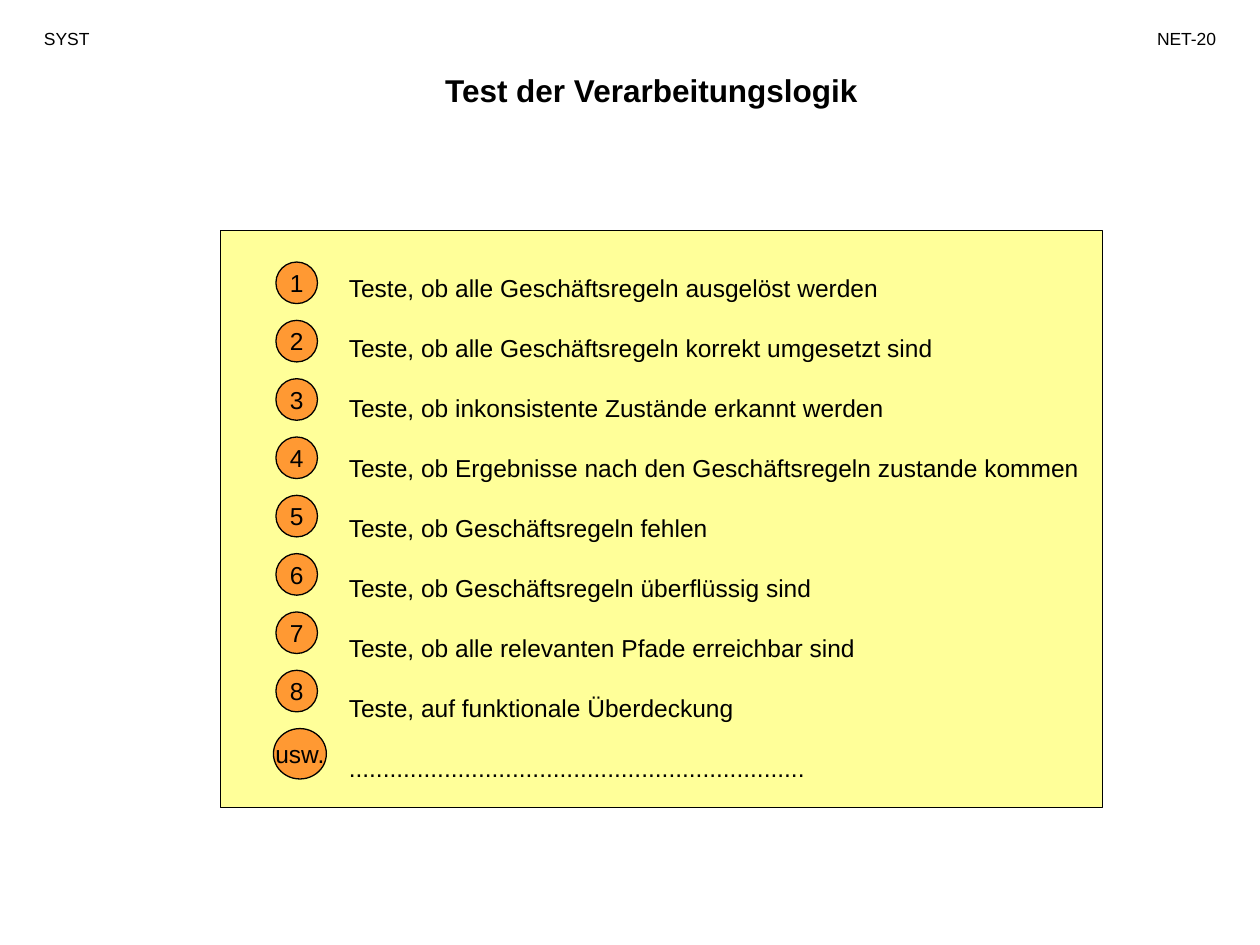
"""Builds the slide on testing the processing logic."""
from pptx import Presentation
from pptx.dml.color import RGBColor as RGB
from pptx.enum.shapes import MSO_SHAPE as Shape
from pptx.enum.text import MSO_ANCHOR as Anchor, MSO_AUTO_SIZE as Auto, PP_ALIGN as Align
from pptx.util import Inches, Pt

TITLE = "Test der Verarbeitungslogik"
HEADERS = [
    ("SYST", (0.25, 0.17, 0.92, 0.27), Align.LEFT),
    ("NET-20", (8.75, 0.17, 1, 0.27), Align.RIGHT),
]
TESTS = [
    ("1", "Teste, ob alle Geschäftsregeln ausgelöst werden"),
    ("2", "Teste, ob alle Geschäftsregeln korrekt umgesetzt sind"),
    ("3", "Teste, ob inkonsistente Zustände erkannt werden"),
    ("4", "Teste, ob Ergebnisse nach den Geschäftsregeln zustande kommen"),
    ("5", "Teste, ob Geschäftsregeln fehlen"),
    ("6", "Teste, ob Geschäftsregeln überflüssig sind"),
    ("7", "Teste, ob alle relevanten Pfade erreichbar sind"),
    ("8", "Teste, auf funktionale Überdeckung"),
    ("usw.", "." * 67),
]
THEME = {
    "font": "Arial", "ink": RGB(0, 0, 0),
    "panel": RGB(0xFF, 0xFF, 0x99), "badge": RGB(0xFF, 0x99, 0x33),
    "title": 18, "body": 14, "header": 10, "line": 0.75, "gap": 17.5,
}
FIRST_BADGE, LAST_NUMBER = 2.08, 5.32
PITCH = (LAST_NUMBER - FIRST_BADGE) / 7


def write(sp, lines, size=THEME["body"], align=Align.LEFT, bold=False,
          anchor=Anchor.TOP, wrap=True, auto=Auto.SHAPE_TO_FIT_TEXT, gap=0):
    tf = sp.text_frame
    tf.word_wrap, tf.auto_size, tf.vertical_anchor = wrap, auto, anchor
    for i, line in enumerate(lines):
        p = tf.add_paragraph() if i else tf.paragraphs[0]
        p.alignment = align
        p.space_before = Pt(gap if i else 0)
        r = p.add_run()
        r.text = line
        r.font.name, r.font.size, r.font.bold = THEME["font"], Pt(size), bold
        r.font.color.rgb = THEME["ink"]


def add_box(s, box):
    return s.shapes.add_textbox(*map(Inches, box))


def add_outlined(s, kind, box, fill):
    sp = s.shapes.add_shape(kind, *map(Inches, box))
    sp.shadow.inherit = False
    sp.fill.solid()
    sp.fill.fore_color.rgb = fill
    sp.line.color.rgb = THEME["ink"]
    sp.line.width = Pt(THEME["line"])
    return sp


def main():
    prs = Presentation()
    prs.slide_width, prs.slide_height = Inches(10), Inches(7.5)
    s = prs.slides.add_slide(prs.slide_layouts[5])

    title = s.shapes.title
    title.left, title.top, title.width, title.height = map(Inches, (2.17, 0.51, 6, 0.4))
    write(title, [TITLE], size=THEME["title"], align=Align.CENTER, bold=True)
    for text, box, align in HEADERS:
        write(add_box(s, box), [text], size=THEME["header"], align=align)

    add_outlined(s, Shape.RECTANGLE, (1.75, 1.83, 7, 4.58), THEME["panel"])
    write(add_box(s, (2.67, 2.12, 6.33, 4.07)), [text for _, text in TESTS],
          gap=THEME["gap"])
    for i, (label, _) in enumerate(TESTS):
        left, width, height = (2.19, 0.33, 0.33) if label.isdigit() else (2.17, 0.42, 0.4)
        box = (left, FIRST_BADGE + i * PITCH, width, height)
        write(add_outlined(s, Shape.OVAL, box, THEME["badge"]), [label],
              align=Align.CENTER, anchor=Anchor.MIDDLE, wrap=False, auto=Auto.NONE)

    prs.save("out.pptx")


if __name__ == "__main__":
    main()
